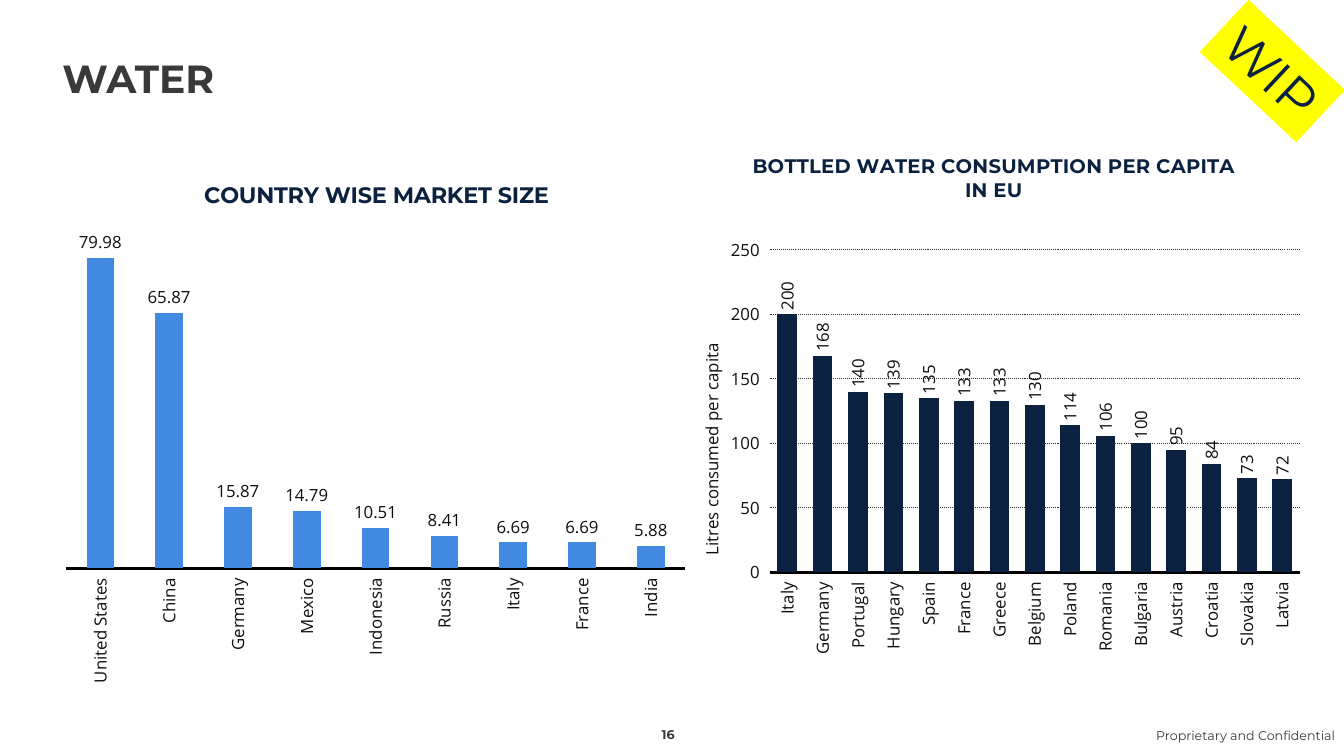
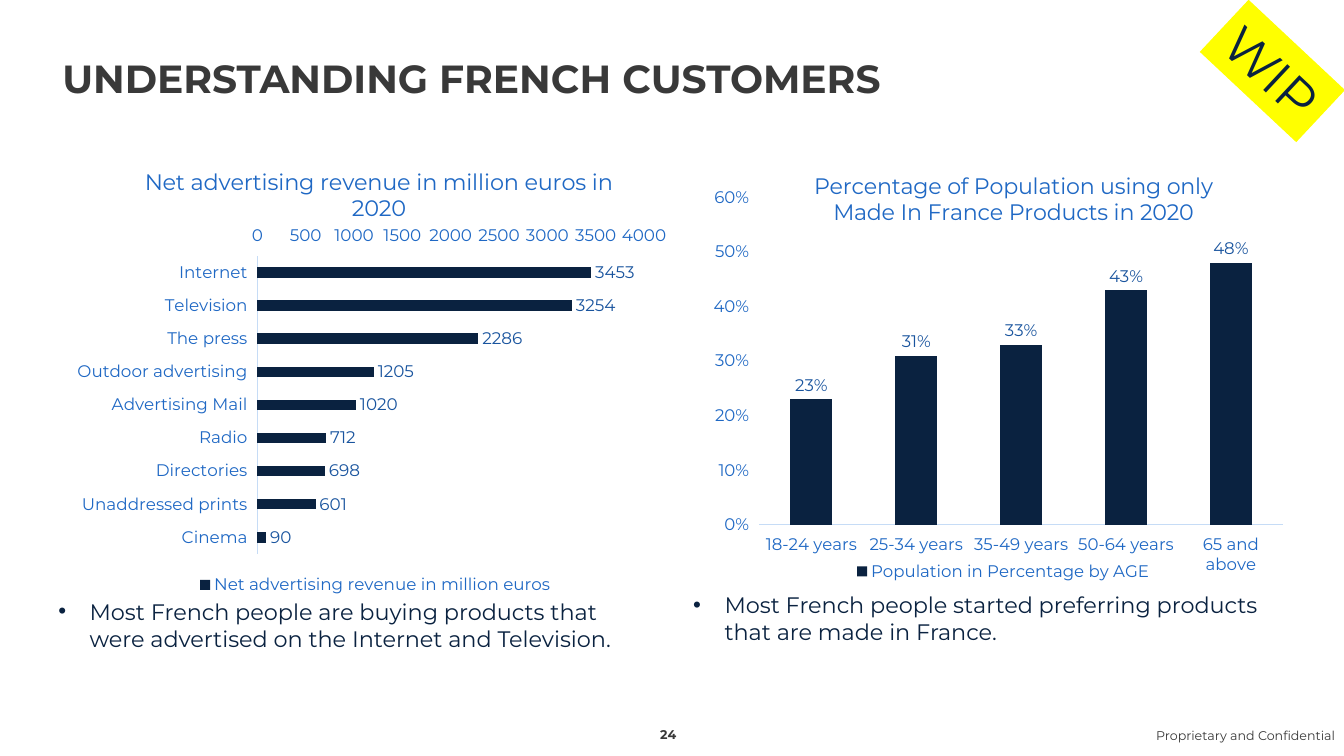
"""Build two market slides, on water and on French customers, with native charts."""
from lxml import etree
from pptx import Presentation
from pptx.chart.data import CategoryChartData
from pptx.dml.color import RGBColor
from pptx.enum.chart import (XL_CHART_TYPE, XL_LABEL_POSITION, XL_LEGEND_POSITION,
                             XL_TICK_LABEL_POSITION, XL_TICK_MARK)
from pptx.enum.dml import MSO_LINE
from pptx.enum.shapes import MSO_SHAPE
from pptx.enum.text import MSO_ANCHOR, PP_ALIGN
from pptx.oxml.ns import qn
from pptx.util import Cm, Pt

COLUMN, BAR = XL_CHART_TYPE.COLUMN_CLUSTERED, XL_CHART_TYPE.BAR_CLUSTERED
OUTSIDE = XL_LABEL_POSITION.OUTSIDE_END
BOTTOM_LEGEND = XL_LEGEND_POSITION.BOTTOM
LOW, NO_TICK = XL_TICK_LABEL_POSITION.LOW, XL_TICK_MARK.NONE
ROUND_DOT, RECTANGLE = MSO_LINE.ROUND_DOT, MSO_SHAPE.RECTANGLE
TOP, MIDDLE, BOTTOM = MSO_ANCHOR.TOP, MSO_ANCHOR.MIDDLE, MSO_ANCHOR.BOTTOM
LEFT, CENTER, RIGHT = PP_ALIGN.LEFT, PP_ALIGN.CENTER, PP_ALIGN.RIGHT

NAVY = RGBColor(0x0A, 0x22, 0x40)
BLUE = RGBColor(0x42, 0x89, 0xE2)
TEXT_BLUE = RGBColor(0x1F, 0x68, 0xC4)
LABEL_BLUE = RGBColor(0x19, 0x54, 0x9E)
PALE_BLUE = RGBColor(0xC6, 0xDC, 0xF6)
GREY = RGBColor(0x39, 0x39, 0x39)
GRID_GREY = RGBColor(0x2F, 0x2F, 0x2F)
INK = RGBColor(0x0F, 0x0F, 0x0F)
BLACK = RGBColor(0, 0, 0)
YELLOW = RGBColor(0xFF, 0xFF, 0)

HEAD, BODY = "Montserrat", "Open Sans"
TITLE = dict(name=HEAD, size=Pt(28), bold=True, color=GREY)
NUMBER = dict(name=HEAD, size=Pt(9), bold=True, color=GREY)
FOOTER = dict(name=HEAD, size=Pt(9), bold=False, color=GREY)
STAMP = dict(name=HEAD, size=Pt(36), bold=False, color=NAVY)
BULLET = dict(name=HEAD, size=Pt(16), bold=False, color=NAVY)

WATER = dict(axis=dict(name=BODY, size=Pt(12), bold=False, color=INK),
             labels=dict(name=BODY, size=Pt(12), bold=False, color=INK),
             title=dict(name=HEAD, bold=True, color=NAVY),
             line=(BLACK, Pt(2)), rotated=True, legend=False)
FRANCE = dict(axis=dict(name=HEAD, size=Pt(12), bold=False, color=TEXT_BLUE),
              labels=dict(name=HEAD, size=Pt(12), bold=False, color=LABEL_BLUE),
              title=dict(name=HEAD, bold=False, color=TEXT_BLUE),
              line=(PALE_BLUE, Pt(0.75)), rotated=False, legend=True)

SLIDES = [
    dict(title="WATER", number="16", style=WATER, bullets=[], charts=[
        dict(kind=COLUMN, box=(1.32, 3.94, 16.26, 13.54), title="COUNTRY WISE MARKET SIZE",
             size=16, title_at=(22.9, 3.6), plot=(2.1, 11.7, 96, 65), gap=150, overlap=-25,
             color=BLUE, top=90, fmt="General", hidden=True, series="Series 1",
             data={"United States": 79.98, "China": 65.87, "Germany": 15.87, "Mexico": 14.79,
                   "Indonesia": 10.51, "Russia": 8.41, "Italy": 6.69, "France": 6.69,
                   "India": 5.88}),
        dict(kind=COLUMN, box=(16.81, 3.2, 16.26, 13.54),
             title="BOTTLED WATER CONSUMPTION PER CAPITA IN EU",
             size=14, title_at=(12.7, 4.1), plot=(15.9, 22.9, 82.2, 60), gap=80, overlap=-30,
             color=NAVY, top=250, unit=50, fmt="#,##0", series="Series 1", grid=True,
             axis_title="Litres consumed per capita", axis_title_at=(4.4, 39.7),
             upright_labels=True,
             data={"Italy": 200, "Germany": 168, "Portugal": 140, "Hungary": 139, "Spain": 135,
                   "France": 133, "Greece": 133, "Belgium": 130, "Poland": 114, "Romania": 106,
                   "Bulgaria": 100, "Austria": 95, "Croatia": 84, "Slovakia": 73,
                   "Latvia": 72})]),
    dict(title="UNDERSTANDING FRENCH CUSTOMERS", number="24", style=FRANCE,
         bullets=[
             ("Most French people started preferring products that are made in France.",
              (17.22, 14.78, 14.83, 1.63)),
             ("Most French people are buying products that were advertised on the Internet "
              "and Television.", (1.22, 14.94, 14.83, 1.63))],
         charts=[
        dict(kind=COLUMN, box=(17.98, 3.73, 14.45, 11.02),
             title="Percentage of Population using only Made In France Products in 2020",
             size=16, title_at=(15.9, 4.2), plot=(6.9, 11.3, 92.5, 74.9), gap=150, overlap=0,
             color=NAVY, top=0.6, unit=0.1, fmt="0%", series="Population in Percentage by AGE",
             data={"18-24 years": 0.23, "25-34 years": 0.31, "35-49 years": 0.33,
                   "50-64 years": 0.43, "65 and above": 0.48}),
        dict(kind=BAR, box=(1.8, 3.58, 15.32, 11.51),
             title="Net advertising revenue in million euros in 2020",
             size=16, title_at=(11.4, 4.5), plot=(30.6, 24.9, 63.6, 65.3), gap=219, overlap=0,
             color=NAVY, top=4000, unit=500, fmt="General", reverse=True,
             series="Net advertising revenue in million euros",
             data={"Internet": 3453, "Television": 3254, "The press": 2286,
                   "Outdoor advertising": 1205, "Advertising Mail": 1020, "Radio": 712,
                   "Directories": 698, "Unaddressed prints": 601, "Cinema": 90})]),
]


def set_font(font, values):
    """Apply a dict of format values to a font."""
    for key, value in values.items():
        if key == "color":
            font.color.rgb = value
        else:
            setattr(font, key, value)


def set_layout(parent, percents):
    """Place a chart part by x, y and, for a plot area, width and height in percent."""
    layout = parent.find(qn("c:layout"))
    if layout is None:
        layout = etree.SubElement(parent, qn("c:layout"))
        parent.insert(0, layout)
    manual = etree.SubElement(layout, qn("c:manualLayout"))
    if len(percents) == 4:
        etree.SubElement(manual, qn("c:layoutTarget")).set("val", "inner")
    for key in ("xMode", "yMode"):
        etree.SubElement(manual, qn("c:" + key)).set("val", "edge")
    for key, value in zip("xywh", percents):
        etree.SubElement(manual, qn("c:" + key)).set("val", f"{value / 100:.3f}")


prs = Presentation()
prs.slide_width, prs.slide_height = Cm(33.87), Cm(19.05)

for page in SLIDES:
    s = prs.slides.add_slide(prs.slide_layouts[6])
    style = page["style"]

    for c in page["charts"]:
        data = CategoryChartData(number_format=c["fmt"])
        data.categories = list(c["data"])
        data.add_series(c["series"], list(c["data"].values()))
        chart = s.shapes.add_chart(c["kind"], *map(Cm, c["box"]), data).chart
        set_font(chart.font, style["axis"])

        chart.has_title = True
        tf = chart.chart_title.text_frame
        tf.text = c["title"]
        set_font(tf.paragraphs[0].runs[0].font, dict(style["title"], size=Pt(c["size"])))
        set_layout(chart.chart_title._element, c["title_at"])
        set_layout(chart._chartSpace.chart.plotArea, c["plot"])

        chart.has_legend = style["legend"]
        if style["legend"]:
            chart.legend.position = BOTTOM_LEGEND
            chart.legend.include_in_layout = False
            set_font(chart.legend.font, style["axis"])

        plot = chart.plots[0]
        plot.gap_width, plot.overlap = c["gap"], c["overlap"]
        plot.vary_by_categories = False
        fmt = plot.series[0].format
        fmt.fill.solid()
        fmt.fill.fore_color.rgb = c["color"]
        plot.has_data_labels = True
        labels = plot.data_labels
        labels.show_value, labels.position = True, OUTSIDE
        labels.number_format, labels.number_format_is_linked = c["fmt"], False
        set_font(labels.font, style["labels"])

        cat, val = chart.category_axis, chart.value_axis
        for axis in (cat, val):
            axis.major_tick_mark = axis.minor_tick_mark = NO_TICK
            axis.tick_label_position = LOW
            set_font(axis.tick_labels.font, style["axis"])
        cat.format.line.color.rgb, cat.format.line.width = style["line"]
        cat.reverse_order = c.get("reverse", False)
        val.format.line.fill.background()
        val.minimum_scale, val.maximum_scale = 0, c["top"]
        val.visible = not c.get("hidden", False)
        val.tick_labels.number_format = c["fmt"]
        val.tick_labels.number_format_is_linked = False
        if "unit" in c:
            val.major_unit = c["unit"]
        val.has_major_gridlines = c.get("grid", False)
        if val.has_major_gridlines:
            line = val.major_gridlines.format.line
            line.color.rgb, line.width, line.dash_style = GRID_GREY, Pt(0.75), ROUND_DOT

        upright = [cat] if style["rotated"] else []
        if c.get("upright_labels"):
            upright.append(labels)
        if "axis_title" in c:
            tf = val.axis_title.text_frame
            tf.text = c["axis_title"]
            set_font(tf.paragraphs[0].runs[0].font, style["axis"])
            set_layout(val.axis_title._element, c["axis_title_at"])
            upright.append(val.axis_title)
        for part in upright:
            for body in part._element.xpath(".//a:bodyPr"):
                body.set("rot", "-5400000")
                body.set("vert", "horz")

    texts = [
        (page["title"], (1.32, 0.28, 31.19, 2.41), TITLE, BOTTOM, LEFT),
        (page["number"], (16.08, 18.11, 1.52, 0.71), NUMBER, BOTTOM, CENTER),
        ("Proprietary and Confidential", (28.78, 18.21, 5.11, 0.71), FOOTER, TOP, RIGHT),
        ("WIP", (30.4, 0.89, 3.33, 1.8), STAMP, MIDDLE, CENTER),
    ] + [(text, box, BULLET, TOP, LEFT) for text, box in page["bullets"]]
    for text, box, font, anchor, align in texts:
        if font is STAMP:
            sp = s.shapes.add_shape(RECTANGLE, *map(Cm, box))
            sp.shadow.inherit = False
            sp.fill.solid()
            sp.fill.fore_color.rgb = YELLOW
            sp.line.fill.background()
            sp.rotation = 43.1
        else:
            sp = s.shapes.add_textbox(*map(Cm, box))
        tf = sp.text_frame
        tf.word_wrap, tf.vertical_anchor = font is not STAMP, anchor
        p = tf.paragraphs[0]
        p.alignment = align
        if font is TITLE:
            p.line_spacing = 0.9
        if font is BULLET:
            pPr = p._p.get_or_add_pPr()
            pPr.set("marL", str(Cm(0.79)))
            pPr.set("indent", str(-Cm(0.79)))
            etree.SubElement(pPr, qn("a:buFont")).set("typeface", "Arial")
            etree.SubElement(pPr, qn("a:buChar")).set("char", "•")
        r = p.add_run()
        r.text = text
        set_font(r.font, font)

prs.save("out.pptx")
